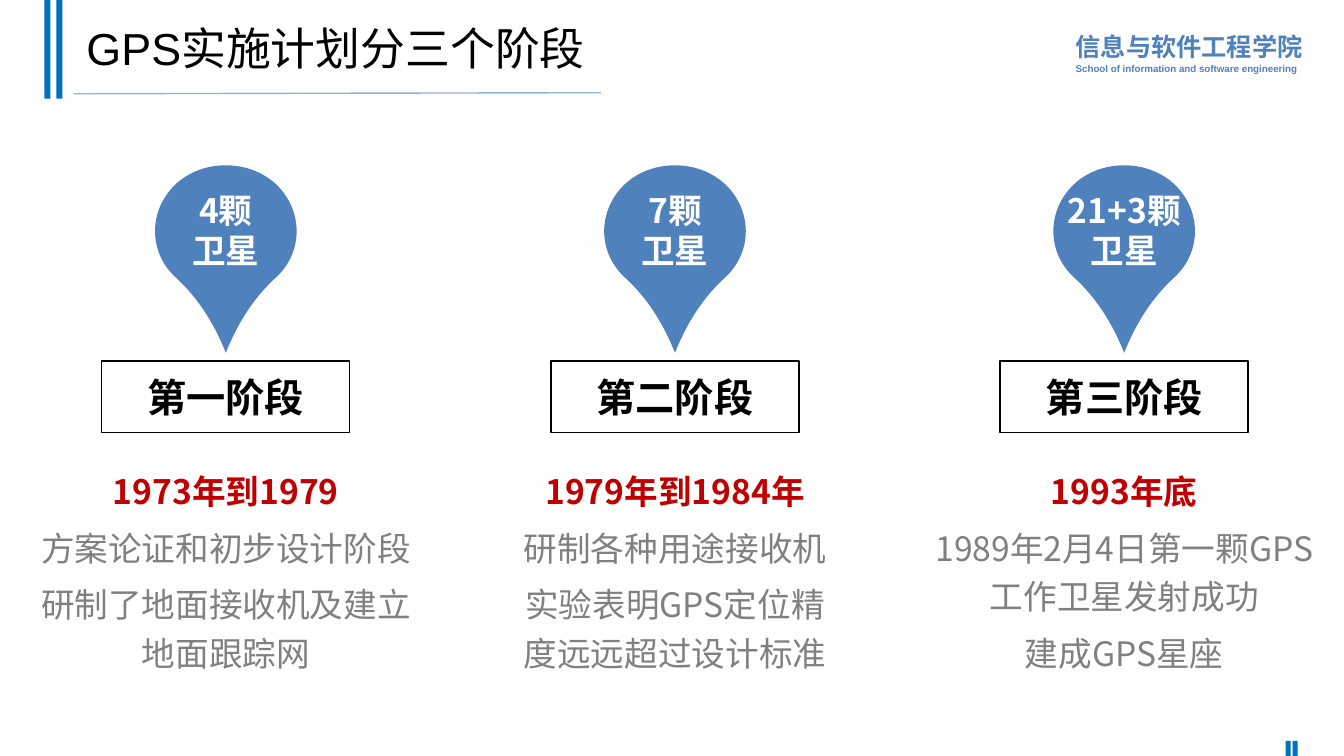
from lxml import etree
from pptx import Presentation
from pptx.dml.color import RGBColor
from pptx.enum import shapes, text
from pptx.oxml import ns
from pptx.util import Inches, Pt

BLUE = RGBColor(0x4F, 0x81, 0xBD)
BAR_BLUE = RGBColor(0x00, 0x70, 0xC0)
RULE_BLUE = RGBColor(0x95, 0xB3, 0xD7)
RED = RGBColor(0xC0, 0x00, 0x00)
GRAY = RGBColor(0x80, 0x80, 0x80)
BLACK = RGBColor(0x00, 0x00, 0x00)
WHITE = RGBColor(0xFF, 0xFF, 0xFF)
CHINESE_FONT = "Noto Sans CJK SC"
FIRST_CENTER = 2.24
LAST_CENTER = 11.15
PIN_TOP = 1.64

STAGES = [
    ("第一阶段", ["4颗", "卫星"], 3.95,
     ["1973年到1979", "方案论证和初步设计阶段", "研制了地面接收机及建立地面跟踪网"]),
    ("第二阶段", ["7颗", "卫星"], 3.44,
     ["1979年到1984年", "研制各种用途接收机", "实验表明GPS定位精度远远超过设计标准"]),
    ("第三阶段", ["21+3颗", "卫星"], 3.95,
     ["1993年底", "1989年2月4日第一颗GPS工作卫星发射成功", "建成GPS星座"]),
]

PIN_OUTLINE = [(0, 0), (0.7, 0.65), (0, 1.86), (-0.7, 0.65)]
PIN_RIGHT_SIDE = [
    (0, 0), (0.18, 0), (0.36, 0.06), (0.5, 0.19),
    (0.77, 0.45), (0.77, 0.86), (0.5, 1.11),
    (0.28, 1.31), (0.12, 1.56), (0, 1.86),
]


def format_paragraph(paragraph, size, color, bold=False, font_name=CHINESE_FONT):
    for run in paragraph.runs:
        run.font.name = font_name
        run.font.size = Pt(size)
        run.font.bold = bold
        run.font.color.rgb = color
        east_asian = etree.SubElement(run.font._element, ns.qn("a:ea"))
        east_asian.set("typeface", CHINESE_FONT)


def add_text_box(slide, left, top, width, height, lines):
    box = slide.shapes.add_textbox(Inches(left), Inches(top), Inches(width), Inches(height))
    box.text_frame.word_wrap = True
    box.text_frame.text = "\n".join(lines)
    return box.text_frame


def add_bar(slide, left, top, width, height):
    bar = slide.shapes.add_shape(
        shapes.MSO_SHAPE.RECTANGLE, Inches(left), Inches(top), Inches(width), Inches(height))
    bar.shadow.inherit = False
    bar.fill.solid()
    bar.fill.fore_color.rgb = BAR_BLUE
    bar.line.fill.background()


def add_title_rule(slide):
    rule = slide.shapes.add_connector(
        shapes.MSO_CONNECTOR.STRAIGHT, Inches(0.73), Inches(0.93), Inches(5.96), Inches(0.92))
    rule.line.color.rgb = RULE_BLUE
    rule.line.width = Pt(1)
    etree.SubElement(rule._element.spPr, ns.qn("a:effectLst"))


def add_title(slide, title):
    frame = add_text_box(slide, 0.76, 0.07, 11.5, 0.88, [title])
    frame.vertical_anchor = text.MSO_ANCHOR.MIDDLE
    frame.paragraphs[0].line_spacing = 0.9
    format_paragraph(frame.paragraphs[0], 32, BLACK, font_name="Arial")


def add_school_name(slide):
    frame = add_text_box(slide, 10.57, 0.23, 2.45, 0.56,
                         ["信息与软件工程学院", "School of information and software engineering"])
    frame.word_wrap = False
    for paragraph, size in zip(frame.paragraphs, (18, 7)):
        paragraph.line_spacing = 1.1
        format_paragraph(paragraph, size, BLUE, True, "Arial")


def round_pin(pin):
    outline = pin._element.spPr.find(".//" + ns.qn("a:pathLst"))[0]
    for segment in outline.findall(ns.qn("a:lnTo")):
        outline.remove(segment)
    left_side = [(-x, y) for x, y in reversed(PIN_RIGHT_SIDE[:-1])]
    points = PIN_RIGHT_SIDE[1:] + left_side
    closing = outline.find(ns.qn("a:close"))
    for start in range(0, len(points), 3):
        curve = etree.Element(ns.qn("a:cubicBezTo"))
        for x, y in points[start:start + 3]:
            point = etree.SubElement(curve, ns.qn("a:pt"))
            point.set("x", str(round((x + 0.7) * 1000)))
            point.set("y", str(round(y * 1000)))
        closing.addprevious(curve)


def add_pin(slide, center, lines):
    corners = [((center + x) * 1000, (PIN_TOP + y) * 1000) for x, y in PIN_OUTLINE]
    builder = slide.shapes.build_freeform(*corners[0], scale=Inches(1) / 1000)
    builder.add_line_segments(corners[1:], close=True)
    pin = builder.convert_to_shape()
    round_pin(pin)
    pin.shadow.inherit = False
    pin.fill.solid()
    pin.fill.fore_color.rgb = BLUE
    pin.line.fill.background()
    frame = pin.text_frame
    frame.word_wrap = True
    frame.margin_bottom = Inches(0.63)
    frame.vertical_anchor = text.MSO_ANCHOR.MIDDLE
    frame.text = "\n".join(lines)
    for paragraph in frame.paragraphs:
        paragraph.alignment = text.PP_ALIGN.CENTER
        format_paragraph(paragraph, 24, WHITE, True)


def add_stage_label(slide, center, label):
    box = slide.shapes.add_shape(
        shapes.MSO_SHAPE.RECTANGLE, Inches(center - 1.23), Inches(3.58), Inches(2.46), Inches(0.71))
    box.shadow.inherit = False
    box.fill.background()
    box.line.color.rgb = BLACK
    box.line.width = Pt(1)
    box.text_frame.text = label
    box.text_frame.vertical_anchor = text.MSO_ANCHOR.MIDDLE
    paragraph = box.text_frame.paragraphs[0]
    paragraph.alignment = text.PP_ALIGN.CENTER
    format_paragraph(paragraph, 28, BLACK, True)


def add_stage_details(slide, center, width, lines):
    frame = add_text_box(slide, center - width / 2, 4.54, width, 2.21, lines)
    for index, paragraph in enumerate(frame.paragraphs):
        paragraph.alignment = text.PP_ALIGN.CENTER
        paragraph.line_spacing = 1.2
        paragraph.space_before = Pt(6 if index else 0)
        format_paragraph(paragraph, 24, GRAY if index else RED, index == 0)


def main():
    presentation = Presentation()
    presentation.slide_width = Inches(13.33)
    presentation.slide_height = Inches(7.5)
    slide = presentation.slides.add_slide(presentation.slide_layouts[6])
    add_school_name(slide)
    for left in (0.44, 0.56):
        add_bar(slide, left, 0, 0.06, 0.98)
    add_title_rule(slide)
    for left in (12.75, 12.82):
        add_bar(slide, left, 7.35, 0.05, 0.15)
    add_title(slide, "GPS实施计划分三个阶段")
    pitch = (LAST_CENTER - FIRST_CENTER) / (len(STAGES) - 1)
    for index, (label, satellites, width, details) in enumerate(STAGES):
        center = FIRST_CENTER + index * pitch
        add_stage_label(slide, center, label)
        add_pin(slide, center, satellites)
        add_stage_details(slide, center, width, details)
    presentation.save("out.pptx")


if __name__ == "__main__":
    main()
